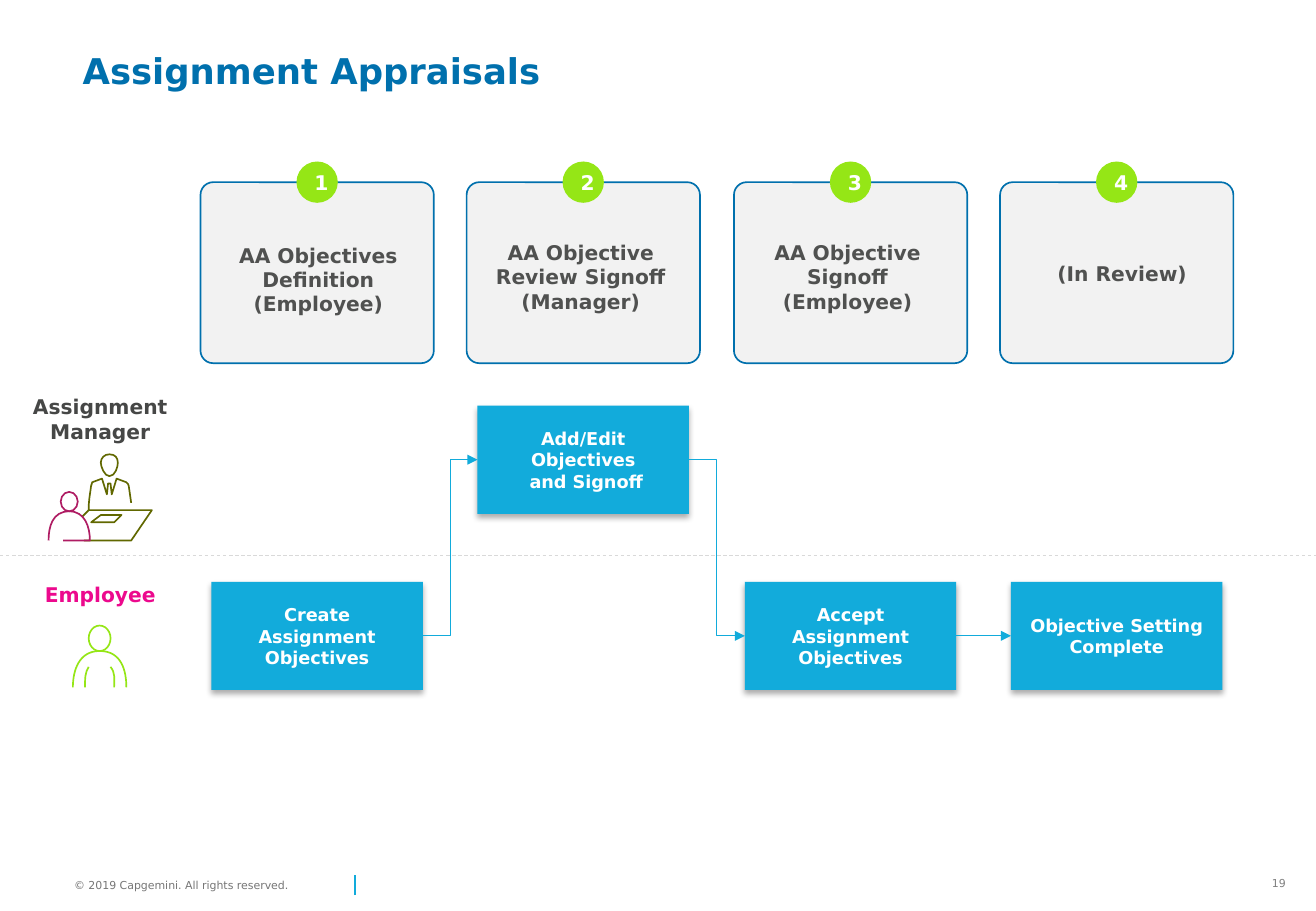
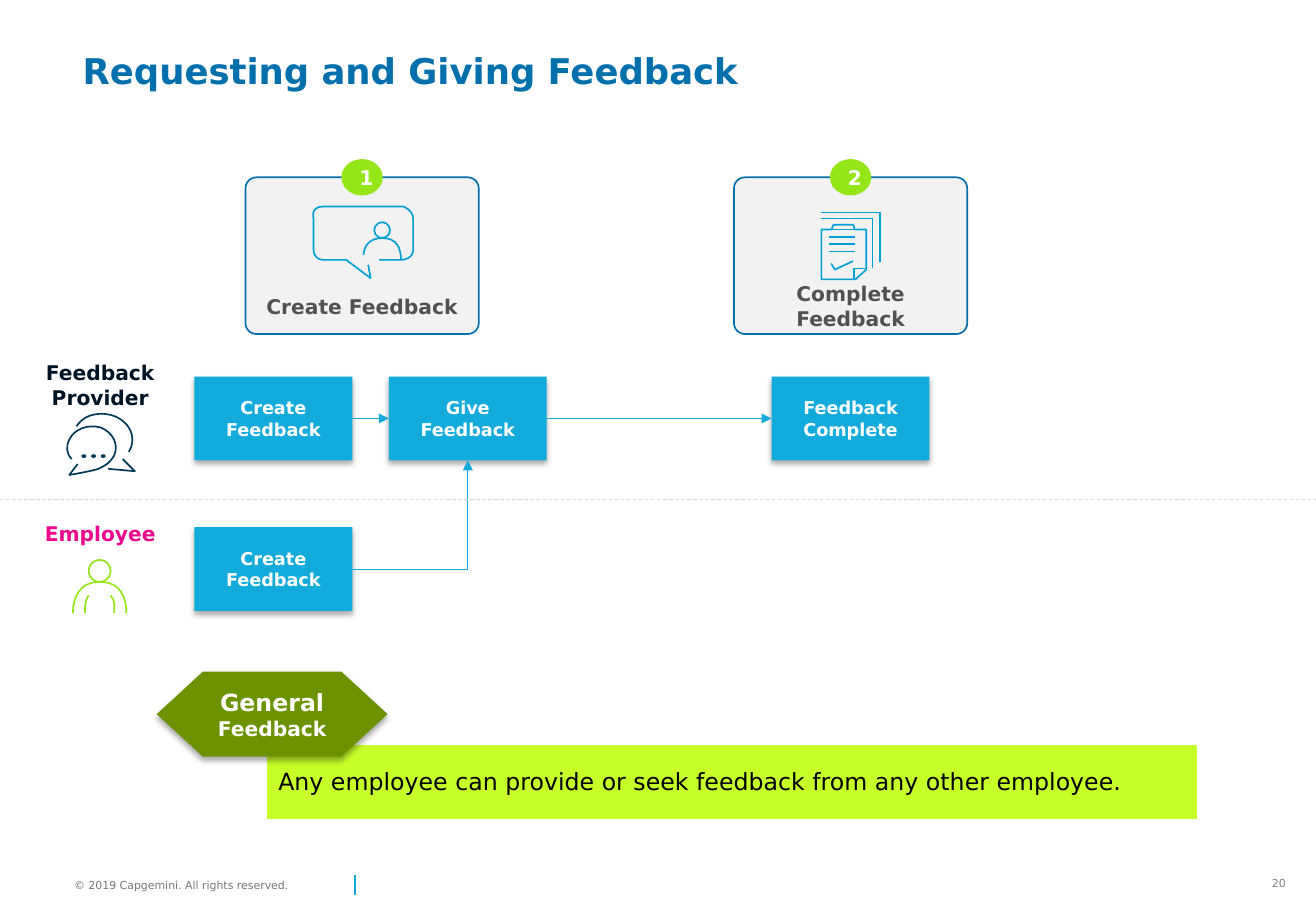
"""Builds two process slides: assignment appraisals and feedback."""
from lxml.etree import SubElement
from pptx import Presentation
from pptx.dml.color import RGBColor
from pptx.enum.dml import MSO_LINE
from pptx.enum.shapes import MSO_CONNECTOR as LINK, MSO_SHAPE as SHAPE
from pptx.enum.text import MSO_ANCHOR as ANCHOR, MSO_AUTO_SIZE, PP_ALIGN as ALIGN
from pptx.oxml.ns import qn
from pptx.util import Inches, Pt

FONT = "DejaVu Sans"
WIDTH, HEIGHT = 10.83, 7.5
BLUE, CYAN, SKETCH_BLUE, NAVY = "0070AD", "12ABDB", "00A0D6", "003856"
LIME, BRIGHT_LIME, OLIVE, MOSS = "95E616", "C7FF29", "6C9200", "616800"
PINK, PLUM, WHITE, BLACK = "EC098D", "AF1C63", "FFFFFF", "000000"
PALE, RULE, DARK = "F2F2F2", "D9D9D9", "505150"
LEFT, BOTTOM, RIGHT = 1, 2, 3
CARD_WIDTH, BADGE_WIDTH, LABEL_HEIGHT = 1.92, 0.34, 0.6

EMPLOYEE = (LIME, [
    [(0, 51), (0, 37, 5, 21, 22, 21), (40, 21, 44, 37, 44, 51)],
    [(34, 51), (34, 43, 35, 39, 31, 34)],
    [(13, 34), (10, 39, 10, 43, 10, 51)],
], [(13, 0, 18, 21)])
MANAGER = (MOSS, [
    [(29, 71), (68, 71), (85, 46), (33, 46), (33, 38, 34, 34, 35, 26),
     (35, 25, 35, 24, 36, 23), (44, 20), (48, 33), (49, 24), (51, 24),
     (52, 33), (56, 20), (64, 23), (65, 24, 66, 25, 66, 26), (68, 40)],
    [(50, 0), (55, 0, 57, 3, 57, 7), (57, 10, 55, 18, 50, 18),
     (46, 18, 43, 10, 43, 7), (43, 3, 46, 0, 50, 0)],
    [(60, 50), (43, 50), (35, 56), (54, 56), (60, 50)],
    [(33, 46), (28, 51)],
], [])
VISITOR = (PLUM, [
    [(0, 71), (0, 60, 3, 47, 17, 47), (30, 47, 34, 60, 34, 71), (12, 71)],
], [(10, 31, 14, 16)])
CHAT = (NAVY, [
    [(9, 13), (11, 10, 14, 7, 18, 5), (30, 0, 45, 3, 52, 14),
     (56, 20, 56, 28, 52, 34)],
    [(47, 40), (57, 50), (35, 48)],
    [(10, 44), (3, 53), (3, 53, 21, 50, 27, 48), (31, 46, 36, 44, 40, 37),
     (44, 28, 39, 18, 29, 14), (19, 11, 7, 15, 3, 24), (0, 30, 1, 36, 5, 40)],
], [])
SPEECH = (SKETCH_BLUE, [
    [(48, 48), (50, 59), (30, 44), (11, 44), (11, 44, 3, 44, 3, 35), (3, 10),
     (3, 10, 0, 0, 11, 0), (77, 0), (77, 0, 85, 3, 85, 10), (85, 35),
     (85, 35, 86, 44, 74, 44), (57, 44)],
    [(44, 40), (45, 32, 49, 26, 60, 26), (72, 26, 75, 35, 75, 44)],
], [(53, 13, 13, 13)])
CLIPBOARD = (SKETCH_BLUE, [
    [(28, 55), (0, 55), (0, 14), (9, 14), (9, 12), (9, 11, 10, 10, 11, 10),
     (26, 10), (26, 10, 27, 11, 27, 12), (27, 14), (37, 14), (37, 47), (28, 55)],
    [(8, 42), (11, 47), (26, 40)],
    *[[(6, y), (28, y)] for y in (20, 26, 32)],
    [(27, 55), (27, 46), (36, 46)],
    [(9, 14), (27, 14)],
    [(0, 5), (42, 5), (42, 46)],
    [(0, 0), (48, 0), (48, 41)],
], [])


def color(value):
    """Turn a hex string into a colour."""
    return RGBColor.from_string(value)


def inches(*lengths):
    """Turn numbers into lengths."""
    return [Inches(length) for length in lengths]


def style(span, size, ink, bold):
    """Format one run."""
    span.font.name, span.font.size, span.font.bold = FONT, Pt(size), bold
    span.font.color.rgb = color(ink)


def write(shape, text, size, ink, bold=True, align=ALIGN.CENTER,
          anchor=ANCHOR.MIDDLE, margin=None):
    """Put formatted text into a shape."""
    frame = shape.text_frame
    frame.text, frame.word_wrap, frame.vertical_anchor = text, True, anchor
    if margin is not None:
        frame.margin_left = frame.margin_right = Inches(margin)
        frame.margin_top = frame.margin_bottom = Inches(margin)
    for para in frame.paragraphs:
        para.alignment = align
        for span in para.runs:
            style(span, size, ink, bold)


def add_text(page, box, text, size, ink, **options):
    """Add a text box."""
    options.setdefault("margin", 0)
    write(page.shapes.add_textbox(*inches(*box)), text, size, ink, **options)


def paint(shape, fill=None, line=None):
    """Set fill and outline, without a shadow."""
    shape.shadow.inherit = False
    if fill:
        shape.fill.solid()
        shape.fill.fore_color.rgb = color(fill)
    else:
        shape.fill.background()
    if line:
        shape.line.color.rgb, shape.line.width = color(line), Pt(1)
    else:
        shape.line.fill.background()


def add_shape(page, kind, box, fill=None, line=None):
    """Add a painted preset shape."""
    shape = page.shapes.add_shape(kind, *inches(*box))
    paint(shape, fill, line)
    return shape


def drop_shadow(shape):
    """Give a shape a soft shadow below it."""
    effects = shape.element.spPr.find(qn("a:effectLst"))
    shadow = SubElement(effects, qn("a:outerShdw"), blurRad="44450", dist="27940",
                        dir="5400000", algn="ctr", rotWithShape="0")
    tint = SubElement(shadow, qn("a:srgbClr"), val=BLACK)
    SubElement(tint, qn("a:alpha"), val="32000")


def add_line(page, start, end, ink, width=1, kind=LINK.STRAIGHT):
    """Add a plain connector."""
    line = page.shapes.add_connector(kind, *inches(*start, *end))
    line.line.color.rgb, line.line.width = color(ink), Pt(width)
    SubElement(line.element.spPr, qn("a:effectLst"))
    return line


def add_arrow(page, source, target, kind=LINK.STRAIGHT, side=LEFT):
    """Join the right of one box to a side of another."""
    arrow = add_line(page, (0, 0), (0, 0), CYAN, 0.5, kind)
    arrow.begin_connect(source, RIGHT)
    arrow.end_connect(target, side)
    properties = arrow.element.spPr
    SubElement(properties.find(qn("a:ln")), qn("a:tailEnd"), type="triangle")
    if side == BOTTOM:
        properties.find(qn("a:prstGeom")).set("prst", "bentConnector2")


def add_stroke(page, steps, ink):
    """Draw an open outline; steps of three points are curves."""
    start, *ends = [step[-1] for step in steps]
    builder = page.shapes.build_freeform(*start)
    builder.add_line_segments(ends, close=False)
    stroke = builder.convert_to_shape()
    paint(stroke, line=ink)
    segments = list(next(stroke.element.iter(qn("a:path"))))
    for segment, step in zip(segments, steps):
        if len(step) == 3:
            segment.tag = qn("a:cubicBezTo")
            segment.remove(segment[0])
            for x, y in step:
                SubElement(segment, qn("a:pt"), x=str(x - stroke.left),
                           y=str(y - stroke.top))


def add_icon(page, icon, left, top, stretch=1):
    """Draw a line icon, given in hundredths of an inch, from its top left."""
    ink, paths, rings = icon
    for path in paths:
        steps = [[(left + x / 100, top + y * stretch / 100)
                  for x, y in zip(step[::2], step[1::2])] for step in path]
        if len(steps) == 2 and len(steps[1]) == 1:
            add_line(page, steps[0][0], steps[1][0], ink)
        else:
            add_stroke(page, [[inches(*point) for point in step] for step in steps], ink)
    for x, y, width, height in rings:
        box = (left + x / 100, top + y * stretch / 100,
               width / 100, height * stretch / 100)
        add_shape(page, SHAPE.OVAL, box, line=ink)


def add_card(page, box, number, badge_height, text, label):
    """Add a numbered step card; label is its offset, middle and width."""
    left, top, width, height = box
    card = add_shape(page, SHAPE.ROUNDED_RECTANGLE, box, PALE, BLUE)
    card.adjustments[0] = 0.07
    badge_box = (left + (width - BADGE_WIDTH) / 2, top - badge_height / 2,
                 BADGE_WIDTH, badge_height)
    write(add_shape(page, SHAPE.OVAL, badge_box, LIME), str(number), 12, WHITE)
    offset, middle, label_width = label
    add_text(page, (left + offset, top + middle - LABEL_HEIGHT / 2, label_width,
                    LABEL_HEIGHT), text, 12, DARK)


def add_task(page, box, text):
    """Add a blue task box."""
    task = add_shape(page, SHAPE.RECTANGLE, box, CYAN)
    drop_shadow(task)
    write(task, text, 10.5, WHITE)
    return task


def add_role(page, top, text, ink):
    """Name a lane at the left edge."""
    add_text(page, (0.25, top, 1.15, 0.4), text, 12, ink, anchor=ANCHOR.TOP)


def add_divider(page, y):
    """Separate the lanes with a dashed line."""
    add_line(page, (0, y), (WIDTH, y), RULE, 0.5).line.dash_style = MSO_LINE.DASH


def add_page(deck, title, number):
    """Start a slide with its title and footer."""
    page = deck.slides.add_slide(deck.slide_layouts[5])
    heading = page.shapes.title
    heading.left, heading.top, heading.width, heading.height = inches(0.36, 0.44, 9.72, 0.94)
    write(heading, title, 21, BLUE, align=ALIGN.LEFT, anchor=ANCHOR.TOP, margin=0)
    heading.text_frame.margin_left = Inches(0.32)
    heading.text_frame.auto_size = MSO_AUTO_SIZE.NONE
    heading.text_frame.paragraphs[0].line_spacing = 0.9
    add_text(page, (10.32, 7.17, 0.36, 0.21), str(number), 6.5, "808080", bold=False,
             align=ALIGN.RIGHT, anchor=ANCHOR.TOP, margin=None)
    add_line(page, (2.92, 7.37), (2.92, 7.2), CYAN)
    add_text(page, (0.61, 7.17, 1.98, 0.24), "© 2019 Capgemini. All rights reserved.",
             6.5, "767676", bold=False, align=ALIGN.LEFT)
    return page


def add_appraisals(deck):
    """Build the assignment appraisals slide."""
    page = add_page(deck, "Assignment Appraisals", 19)
    upper, lower = 3.34, 4.79
    steps = [
        (1.65, "AA Objectives Definition (Employee)", (0.04, 0.8, 1.86),
         "Create Assignment Objectives", lower),
        (3.84, "AA Objective Review Signoff (Manager)", (0.04, 0.78, 1.8),
         "Add/Edit Objectives\n and Signoff", upper),
        (6.04, "AA Objective Signoff (Employee)", (0.08, 0.78, 1.71),
         "Accept Assignment Objectives", lower),
        (8.23, "(In Review)", (0.15, 0.75, 1.71), "Objective Setting Complete", lower),
    ]
    tasks = []
    for number, (left, text, label, task, top) in enumerate(steps, 1):
        add_card(page, (left, 1.5, CARD_WIDTH, 1.49), number, 0.34, text, label)
        tasks.append(add_task(page, (left + 0.09, top, 1.74, 0.89), task))
    for source, target in zip(tasks, tasks[1:]):
        level = source.top == target.top
        add_arrow(page, source, target, LINK.STRAIGHT if level else LINK.ELBOW)
    add_role(page, 3.25, "Assignment Manager", "464746")
    add_icon(page, MANAGER, 0.4, 3.74)
    add_icon(page, VISITOR, 0.4, 3.74)
    add_role(page, 4.79, "Employee", PINK)
    add_icon(page, EMPLOYEE, 0.6, 5.15)
    add_divider(page, 4.57)


def add_general_note(page, left, top):
    """Add the general feedback tag and its message bar."""
    bar = page.shapes.add_table(1, 1, *inches(left + 0.9, top + 0.6, 7.67, 0.62)).table
    bar.first_row = bar.horz_banding = False
    cell = bar.cell(0, 0)
    cell.fill.solid()
    cell.fill.fore_color.rgb = color(BRIGHT_LIME)
    write(cell, "Any employee can provide or seek feedback from any other employee.",
          14, BLACK, bold=False, align=ALIGN.LEFT)
    cell.vertical_anchor = ANCHOR.MIDDLE
    tag = add_shape(page, SHAPE.FLOWCHART_PREPARATION, (left, top, 1.9, 0.7), OLIVE)
    drop_shadow(tag)
    write(tag, "General ", 14, WHITE)
    span = tag.text_frame.paragraphs[0].add_run()
    span.text = "Feedback"
    style(span, 12, WHITE, True)


def add_feedback(deck):
    """Build the feedback slide."""
    page = add_page(deck, "Requesting and Giving Feedback", 20)
    cards = [(2.02, "Create Feedback", (0.03, 1.06, 1.86), SPEECH, 0.53, 0.24),
             (6.04, "Complete Feedback", (0.06, 1.06, 1.8), CLIPBOARD, 0.72, 0.29)]
    for number, (left, text, label, icon, across, down) in enumerate(cards, 1):
        add_card(page, (left, 1.46, CARD_WIDTH, 1.29), number, 0.3, text, label)
        add_icon(page, icon, left + across, 1.46 + down)
    places = [(1.6, 3.1, "Create Feedback"), (3.2, 3.1, "Give Feedback"),
              (6.35, 3.1, "Feedback Complete"), (1.6, 4.34, "Create Feedback")]
    create, give, complete, request = [
        add_task(page, (left, top, 1.3, 0.69), text) for left, top, text in places]
    add_arrow(page, create, give)
    add_arrow(page, give, complete)
    add_arrow(page, request, give, LINK.ELBOW, BOTTOM)
    add_role(page, 2.97, "Feedback Provider", "001325")
    add_icon(page, CHAT, 0.54, 3.38)
    for index in range(3):
        add_shape(page, SHAPE.OVAL, (0.67 + index * 0.08, 3.74, 0.04, 0.03), NAVY)
    add_role(page, 4.29, "Employee", PINK)
    add_icon(page, EMPLOYEE, 0.6, 4.61, 0.86)
    add_divider(page, 4.11)
    add_general_note(page, 1.29, 5.53)


def main():
    """Build and save the deck."""
    deck = Presentation()
    deck.slide_width, deck.slide_height = inches(WIDTH, HEIGHT)
    add_appraisals(deck)
    add_feedback(deck)
    deck.save("out.pptx")


if __name__ == "__main__":
    main()
